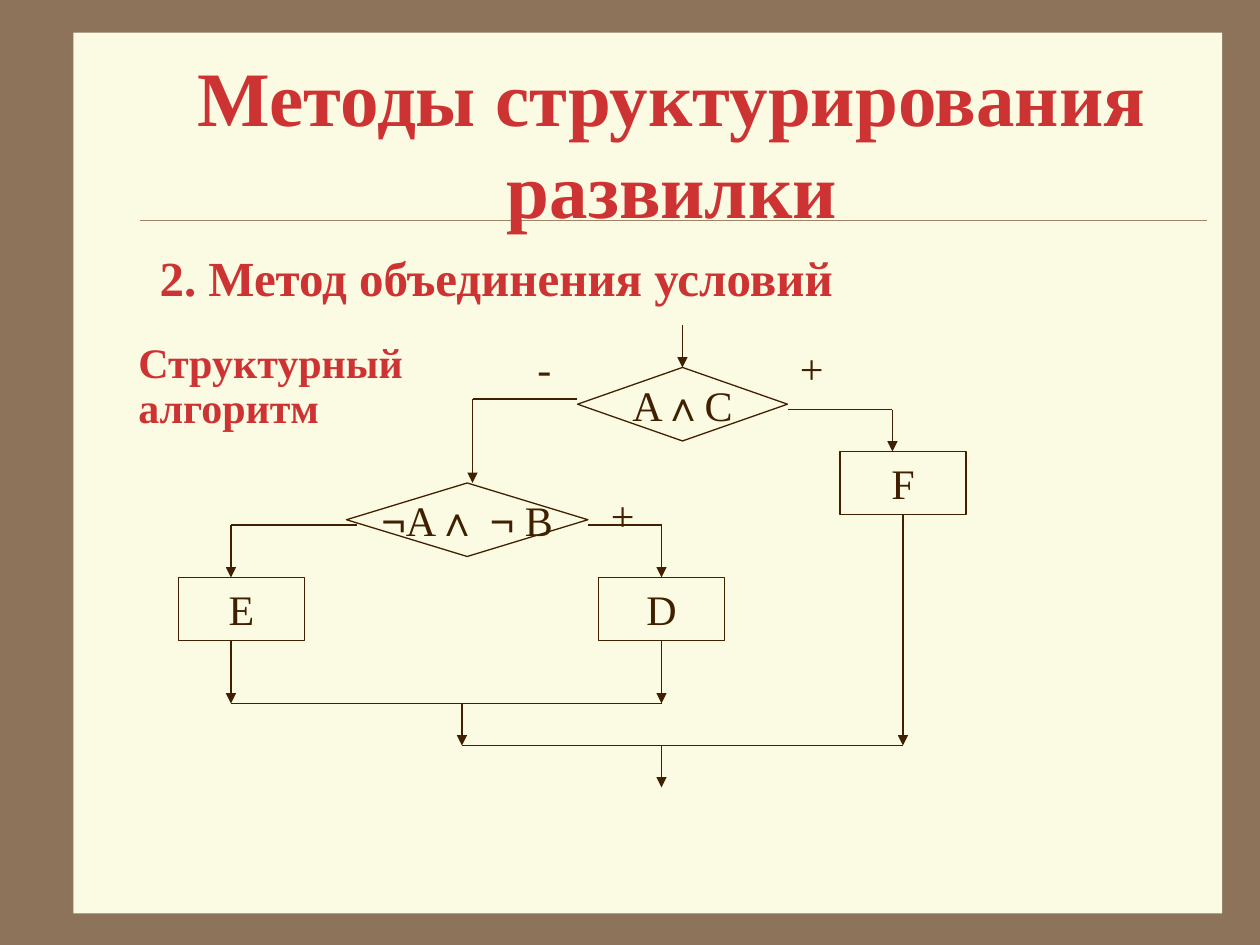
from pptx import Presentation
from pptx import util as u
from pptx.dml.color import RGBColor
from pptx.enum import shapes, text
from pptx.oxml.ns import qn
from lxml import etree

COLORS = {"frame": "8C735A", "panel": "FBFAE2", "rule": "A08366",
          "accent": "CD3333", "ink": "402000"}
SERIF, SANS = "Times New Roman", "Arial"
STEP = 2.54 / 12  # grid step in centimetres
RECT = shapes.MSO_SHAPE.RECTANGLE
DECISION = shapes.MSO_SHAPE.FLOWCHART_DECISION
CENTER = text.PP_ALIGN.CENTER


def grid(*steps):
    """Turn grid steps into lengths."""
    return [u.Cm(n * STEP) for n in steps]


def rgb(name):
    """Look up a palette colour."""
    return RGBColor.from_string(COLORS[name])


class Slide:
    """The current slide and its drawing style."""

    def __init__(self, prs):
        """Add a slide with a plain background."""
        self.s = prs.slides.add_slide(prs.slide_layouts[1])
        fill = self.s.background.fill
        fill.solid()
        fill.fore_color.rgb = rgb("frame")

    def add_text(self, sp, runs, size=24, color="ink", bold=False, align=None,
                 before=0, spacing=None):
        """Fill a shape with one paragraph of (text, font) runs."""
        p = sp.text_frame.paragraphs[0]
        p.alignment = align
        p.space_before = u.Pt(before)
        if spacing:
            p.line_spacing = spacing
        for words, font in runs:
            r = p.add_run()
            r.text = words
            r.font.name, r.font.size, r.font.bold = font, u.Pt(size), bold
            r.font.color.rgb = rgb(color)
        return p

    def placeholder(self, idx, box, words, size, anchor, align, before=0):
        """Place a template placeholder in front and fill in a heading."""
        sp = self.s.placeholders[idx]
        sp.left, sp.top, sp.width, sp.height = grid(*box)
        self.s.shapes._spTree.append(sp._element)
        tf = sp.text_frame
        tf.auto_size = text.MSO_AUTO_SIZE.NONE
        tf.vertical_anchor = anchor
        p = self.add_text(sp, [(words, SERIF)], size, "accent", True, align, before)
        pPr = p._p.get_or_add_pPr()
        pPr.set("marL", "0")
        pPr.set("indent", "0")
        etree.SubElement(pPr, qn("a:buNone"))

    def shape(self, kind, box, runs=(), outline=True):
        """Draw a panel-coloured shape with centred text."""
        sp = self.s.shapes.add_shape(kind, *grid(*box))
        sp.shadow.inherit = False
        sp.fill.solid()
        sp.fill.fore_color.rgb = rgb("panel")
        if outline:
            sp.line.color.rgb = rgb("ink")
            sp.line.width = u.Pt(0.74)
        else:
            sp.line.fill.background()
        if runs:
            tf = sp.text_frame
            tf.word_wrap = False
            tf.vertical_anchor = text.MSO_ANCHOR.MIDDLE
            self.add_text(sp, runs, align=CENTER)

    def label(self, box, words, **style):
        """Add a wrapping text box."""
        sp = self.s.shapes.add_textbox(*grid(*box))
        sp.text_frame.word_wrap = True
        sp.text_frame.auto_size = text.MSO_AUTO_SIZE.SHAPE_TO_FIT_TEXT
        self.add_text(sp, [(words, SERIF)], before=15, **style)

    def line(self, x1, y1, x2, y2, arrow=False, color="ink", width=0.74):
        """Draw a straight line, optionally with an arrowhead."""
        c = self.s.shapes.add_connector(shapes.MSO_CONNECTOR.STRAIGHT,
                                        *grid(x1, y1, x2, y2))
        c.line.color.rgb = rgb(color)
        c.line.width = u.Pt(width)
        if arrow:
            ln = c._element.spPr.find(qn("a:ln"))
            etree.SubElement(ln, qn("a:tailEnd"), type="triangle")
        etree.SubElement(c._element.spPr, qn("a:effectLst"))

    def branch(self, x1, y, x2, y2):
        """Run sideways, then down to an arrowhead."""
        self.line(x1, y, x2, y)
        self.line(x2, y, x2, y2, arrow=True)


prs = Presentation()
prs.slide_width, prs.slide_height = u.Cm(25.4), u.Cm(19.05)
s = Slide(prs)

s.shape(RECT, (7, 3.1, 109.4, 83.9), outline=False)
s.line(13.3, 21, 115, 21, color="rule", width=0.26)
s.placeholder(0, (13, 6, 102, 15), "Методы структурирования развилки", 44,
              text.MSO_ANCHOR.MIDDLE, CENTER)
s.placeholder(1, (14, 23, 94, 6.8), "2. Метод объединения условий", 28,
              text.MSO_ANCHOR.TOP, text.PP_ALIGN.LEFT, before=17.5)

s.shape(DECISION, (55, 35, 20, 7), [("A", SERIF), ("∧", SANS), ("C", SERIF)])
s.shape(DECISION, (33, 46, 23, 7),
        [("¬", SANS), ("A", SERIF), ("∧ ¬", SANS), (" B", SERIF)])
for name, x, y in (("D", 57, 55), ("E", 17, 55), ("F", 80, 43)):
    s.shape(RECT, (x, y, 12, 6), [(name, SERIF)])

for route in ((75, 39, 85, 43), (55, 38, 45, 46), (56, 50, 63, 55), (34, 50, 22, 55)):
    s.branch(*route)
for x, top, bottom in ((65, 31, 35), (22, 61, 67), (63, 61, 67),
                       (44, 67, 71), (86, 49, 71), (63, 71, 75)):
    s.line(x, top, x, bottom, arrow=True)
for left, right, y in ((22, 63, 67), (44, 86, 71)):
    s.line(left, y, right, y)

for sign, x, y, width in (("+", 75, 32, 8), ("-", 50, 32, 5), ("+", 57, 46, 6)):
    s.label((x, y, width, 6), sign)
s.label((12, 32, 37, 9.8), "Структурный алгоритм", color="accent", bold=True,
        spacing=0.9)

prs.save("out.pptx")
